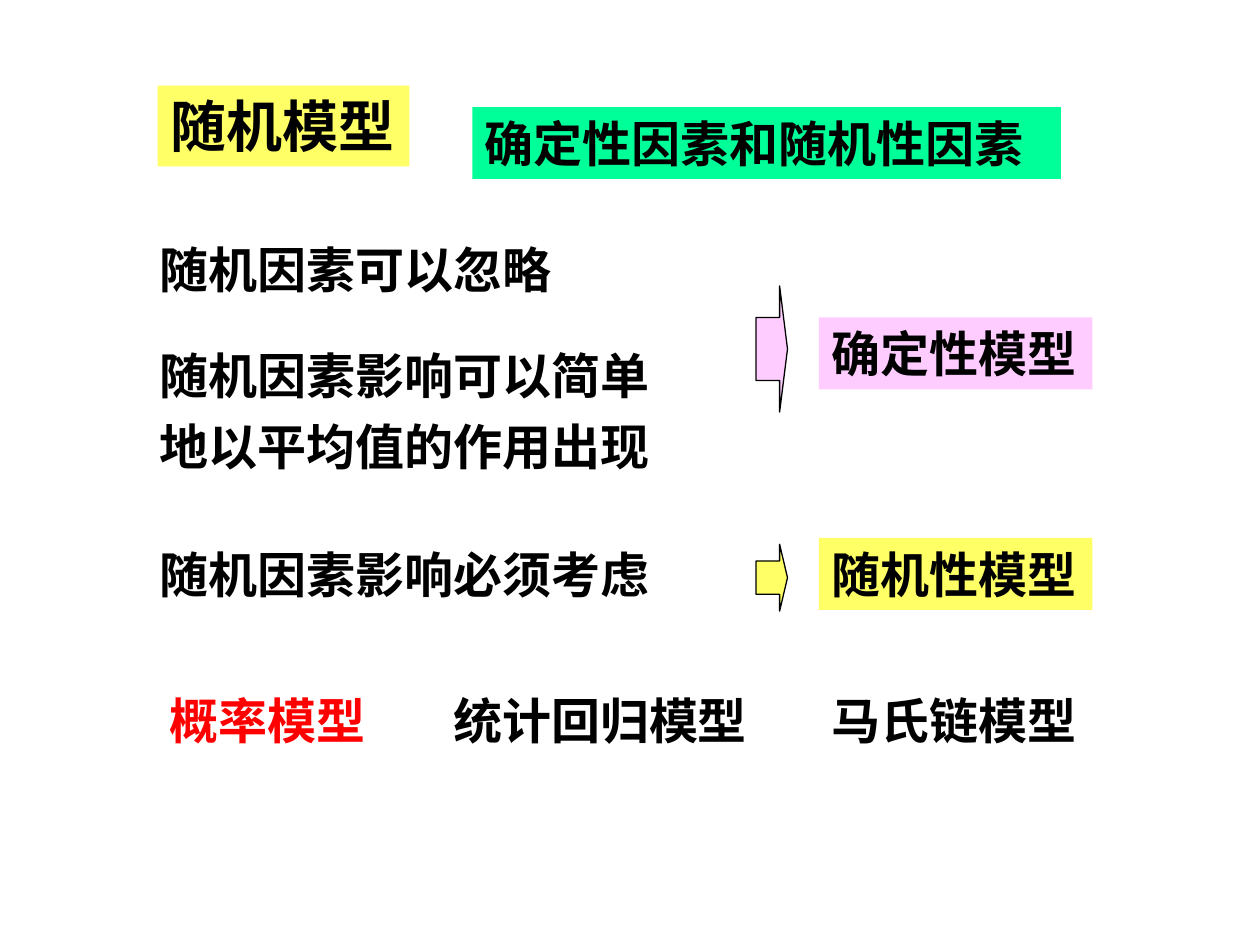
from pptx import Presentation
from pptx.dml.color import RGBColor
from pptx.enum.shapes import MSO_SHAPE
from pptx.enum.text import MSO_ANCHOR, MSO_AUTO_SIZE, PP_ALIGN
from pptx.util import Inches, Pt

COLORS = {
    "text": "000000",
    "highlight": "FF0000",
    "topic": "00FF99",
    "random": "FFFF66",
    "deterministic": "FFCCFF",
}
FONT = "Times New Roman"
LINE_HEIGHT = 0.57


def rgb(name):
    return RGBColor.from_string(COLORS[name])


def write(frame, text, size=28, color="text", spacing=None):
    frame.word_wrap = True
    frame.auto_size = MSO_AUTO_SIZE.NONE
    frame.vertical_anchor = MSO_ANCHOR.TOP
    frame.margin_left = frame.margin_right = Inches(0.1)
    frame.margin_top = frame.margin_bottom = Inches(0.05)
    paragraph = frame.paragraphs[0]
    paragraph.alignment = PP_ALIGN.LEFT
    paragraph.space_before = Pt(0)
    paragraph.line_spacing = spacing
    run = paragraph.add_run()
    run.text = text
    run.font.name = FONT
    run.font.size = Pt(size)
    run.font.bold = True
    run.font.color.rgb = rgb(color)


class ModelSlide:
    """Holds the current slide and draws its elements in one style."""

    def __init__(self, slide):
        self.slide = slide

    def title(self, text, left, top, width, height, fill):
        title = self.slide.shapes.title
        title.left, title.top = Inches(left), Inches(top)
        title.width, title.height = Inches(width), Inches(height)
        title.fill.solid()
        title.fill.fore_color.rgb = rgb(fill)
        write(title.text_frame, text, size=32)

    def text(self, text, left, top, width, height=LINE_HEIGHT, **text_format):
        box = self.slide.shapes.add_textbox(
            Inches(left), Inches(top), Inches(width), Inches(height))
        write(box.text_frame, text, **text_format)

    def filled(self, shapes, kind, left, top, width, height, fill):
        shape = shapes.add_shape(
            kind, Inches(left), Inches(top), Inches(width), Inches(height))
        shape.shadow.inherit = False
        shape.fill.solid()
        shape.fill.fore_color.rgb = rgb(fill)
        shape.line.fill.background()
        return shape

    def label(self, text, left, top, width, fill, shapes=None):
        label = self.filled(shapes or self.slide.shapes, MSO_SHAPE.RECTANGLE,
                            left, top, width, LINE_HEIGHT, fill)
        write(label.text_frame, text)

    def conclusion(self, text, top, arrow_top, arrow_height, fill):
        """Group a result label with the arrow that leads to it."""
        shapes = self.slide.shapes.add_group_shape().shapes
        self.label(text, 6.5, top, 2.17, fill, shapes)
        arrow = self.filled(shapes, MSO_SHAPE.RIGHT_ARROW,
                            6, arrow_top, 0.25, arrow_height, fill)
        arrow.adjustments[0] = 0.5
        arrow.adjustments[1] = 0.25
        arrow.line.color.rgb = rgb("text")
        arrow.line.width = Pt(0.75)


def main():
    presentation = Presentation()
    presentation.slide_width = Inches(10)
    presentation.slide_height = Inches(7.5)
    title_only = presentation.slide_layouts[5]
    page = ModelSlide(presentation.slides.add_slide(title_only))

    page.title("随机模型", 1.25, 0.68, 2, 0.64, "random")
    page.label("确定性因素和随机性因素", 3.75, 0.85, 4.67, "topic")

    page.text("随机因素可以忽略", 1.17, 1.85, 4.08)
    page.text("随机因素影响可以简单地以平均值的作用出现",
              1.17, 2.6, 4.17, 1.22, spacing=1.2)
    page.text("随机因素影响必须考虑", 1.17, 4.27, 4.17)

    page.conclusion("确定性模型", 2.52, 2.27, 1, "deterministic")
    page.conclusion("随机性模型", 4.27, 4.32, 0.53, "random")

    for model, left, width, color in (
        ("概率模型", 1.25, 1.83, "highlight"),
        ("统计回归模型", 3.5, 2.67, "text"),
        ("马氏链模型", 6.5, 2.25, "text"),
    ):
        page.text(model, left, 5.43, width, color=color)

    presentation.save("out.pptx")


if __name__ == "__main__":
    main()
